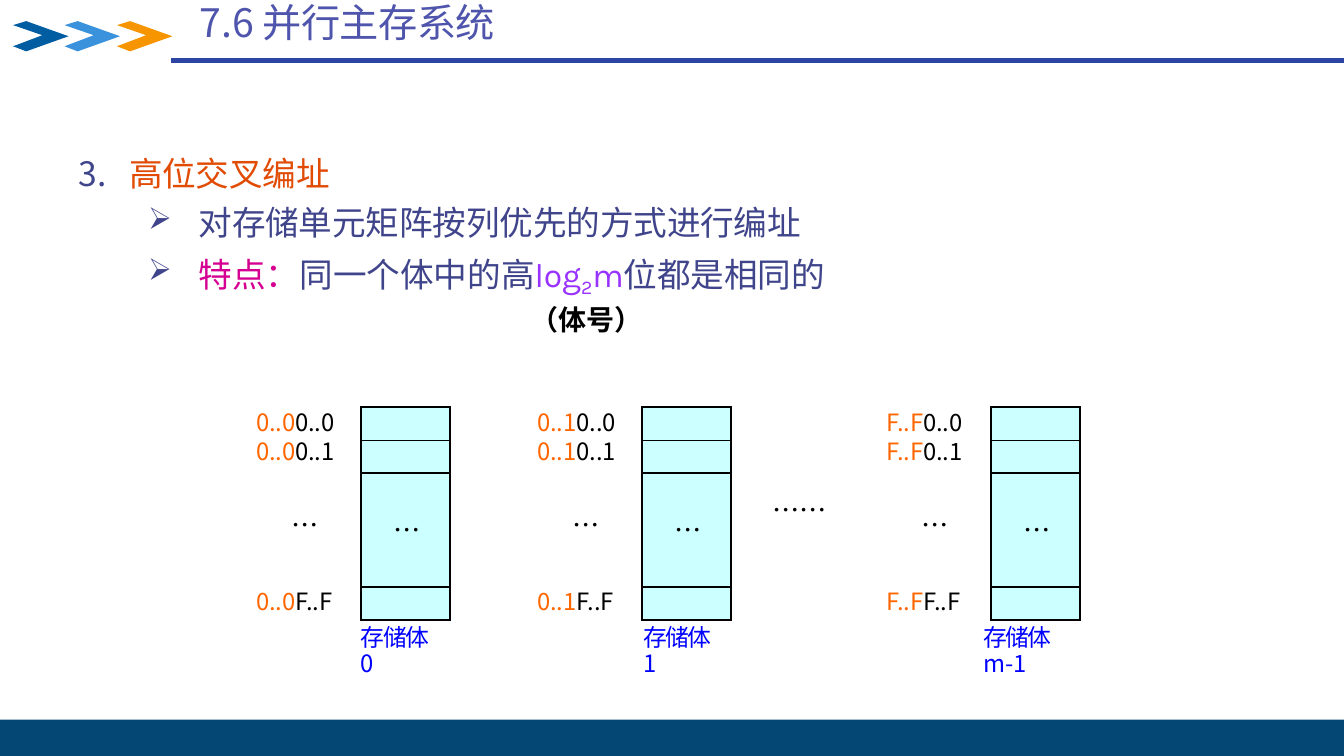
from lxml import etree
from pptx import Presentation
from pptx.dml.color import RGBColor
from pptx.oxml.ns import qn
from pptx.util import Inches, Pt
from pptx.enum.shapes import MSO_CONNECTOR as LINE, MSO_SHAPE as SHAPE

# Colours and fonts
NAVY = RGBColor(0x40, 0x45, 0x8B)
TITLE = RGBColor(0x4F, 0x55, 0xAC)
RULE = RGBColor(0x2C, 0x44, 0xA3)
BAR = RGBColor(0x04, 0x47, 0x75)
RUST = RGBColor(0xE1, 0x4B, 0x04)
PINK = RGBColor(0xD5, 0x00, 0x92)
VIOLET = RGBColor(0x99, 0x33, 0xFF)
ORANGE = RGBColor(0xFF, 0x66, 0x00)
BLUE = RGBColor(0x00, 0x00, 0xFF)
BLACK = RGBColor(0, 0, 0)
CYAN = RGBColor(0xCC, 0xFF, 0xFF)
SANS, LATIN = "Noto Sans CJK SC", "Karla"

# Content: a run is (text, format); a paragraph is (runs, format)
HEAD = [([("7.6", {}), (" 并行主存系统", {"spc": -0.4})], {})]
LOG = {"color": VIOLET, "face": LATIN}
POINT = {"left": 1.23, "hang": 0.5, "mark": "➢", "before": 9}
BODY = [
    ([("高位交叉编址", {"color": RUST})], {"left": 0.54, "hang": 0.5, "start": 3}),
    ([("对存储单元矩阵按列优先的方式进行编址", {})], POINT),
    ([("特点：", {"color": PINK, "spc": 0}), ("同一个体中的高", {"spc": 0}),
      ("log", LOG), ("2", {**LOG, "base": -21}), ("m", LOG),
      ("位都是相同的", {})], POINT),
    ([("（体号）", {"color": BLACK, "size": 20, "bold": True})],
     {"left": 4.52, "before": 8}),
]
# Memory banks: high address, label, left of addresses, left and width of caption
BANKS = [
    ("0..0", "0", 2.53, 3.57, 0.92),
    ("0..1", "1", 5.32, 6.37, 0.92),
    ("F..F", "m-1", 8.78, 9.74, 1.16),
]
ROWS = [0.33, 0.32, 1.13, 0.33]
CHEVRON = [(0.13, 0), (0, 0.04), (0.29, 0.14), (0, 0.25), (0.13, 0.3), (0.55, 0.15)]
MARKS = [(0.13, RGBColor(0x00, 0x5D, 0xA1)), (0.64, RGBColor(0x39, 0x92, 0xDB)),
         (1.16, RGBColor(0xF7, 0x95, 0x00))]

deck = Presentation()
deck.slide_width, deck.slide_height = Inches(13.33), Inches(7.5)
slide = deck.slides.add_slide(deck.slide_layouts[6])
shapes = slide.shapes


def add(node, tag, **attrs):
    return etree.SubElement(node, qn(tag), attrs)


def put_run(para, text, size, color, face=SANS, spc=0, base=0, bold=False):
    run = para.add_run()
    run.text = text
    font = run.font
    font.size, font.name, font.bold = Pt(size), face, bold
    font.color.rgb = color
    props = font._element
    props.set("spc", str(round(spc * 100)))
    if base:
        props.set("baseline", str(base * 1000))
    add(props, "a:ea", typeface=SANS)


def put_mark(props, mark, start):
    tint = add(props, "a:buClr")
    add(tint, "a:srgbClr", val=str(NAVY))
    if mark:
        add(props, "a:buSzPct", val="90000")
        add(props, "a:buChar", char=mark)
    else:
        add(props, "a:buAutoNum", type="arabicPeriod", startAt=str(start))


def write(frame, paras, size=17, color=BLACK, spc=0, space=0.9):
    for i, (runs, form) in enumerate(paras):
        para = frame.add_paragraph() if i else frame.paragraphs[0]
        para.line_spacing = space
        para.space_before = Pt(form.get("before", 0))
        props = para._p.get_or_add_pPr()
        props.set("marL", str(Inches(form.get("left", 0.01))))
        props.set("indent", str(-Inches(form.get("hang", 0))))
        if "mark" in form or "start" in form:
            put_mark(props, form.get("mark"), form.get("start"))
        for text, look in runs:
            put_run(para, text, **{"size": size, "color": color, "spc": spc, **look})


def put_text(paras, left, top, width, height, inset=0.02, right=0, **look):
    frame = shapes.add_textbox(*map(Inches, (left, top, width, height))).text_frame
    frame.word_wrap = True
    frame.margin_left = frame.margin_bottom = 0
    frame.margin_top, frame.margin_right = Inches(inset), Inches(right)
    write(frame, paras, **look)


def paint(shape, color):
    shape.shadow.inherit = False
    shape.fill.solid()
    shape.fill.fore_color.rgb = color
    shape.line.fill.background()


def put_table(left, top):
    table = shapes.add_table(len(ROWS), 1, Inches(left), Inches(top),
                             Inches(0.88), Inches(sum(ROWS))).table
    table.first_row = table.horz_banding = False
    table.columns[0].width = Inches(0.88)
    for i, height in enumerate(ROWS):
        table.rows[i].height = Inches(height)
        cell = table.cell(i, 0)
        cell.margin_left = cell.margin_right = 0
        cell.margin_top = cell.margin_bottom = 0
        props = cell._tc.get_or_add_tcPr()
        for side in ("L", "R", "T", "B"):
            edge = add(props, "a:ln" + side, w=str(Pt(1.5)))
            add(add(edge, "a:solidFill"), "a:srgbClr", val=str(BLACK))
        cell.fill.solid()
        cell.fill.fore_color.rgb = CYAN
    gap = table.cell(2, 0)
    gap.margin_top = Inches(0.36)
    write(gap.text_frame, [([("…", {})], {"left": 0.32})], size=19.5, space=1)


# Header rule, chevrons and footer bar
rule = shapes.add_connector(LINE.STRAIGHT, Inches(1.7), Inches(0.6),
                            Inches(13.33), Inches(0.6))
rule.line.color.rgb, rule.line.width = RULE, Pt(3)
add(rule._element.spPr, "a:effectLst")
for left, color in MARKS:
    dots = [(Inches(left + x), Inches(0.21 + y)) for x, y in CHEVRON]
    form = shapes.build_freeform(*dots[0])
    form.add_line_segments(dots[1:], close=True)
    paint(form.convert_to_shape(), color)
paint(shapes.add_shape(SHAPE.RECTANGLE, 0, Inches(7.14),
                       Inches(13.33), Inches(0.36)), BAR)

# Title and body
put_text(HEAD, 1.97, 0.03, 3.14, 0.49, inset=0.01, size=28, color=TITLE)
put_text(BODY, 0.74, 1.39, 7.47, 2.18, inset=0.17, size=24, color=NAVY, spc=-0.1)

# Memory banks
for high, label, left, foot, width in BANKS:
    first, second, last = [
        [(high, {"color": ORANGE}), (low, {})] for low in ("0..0", "0..1", "F..F")]
    put_text([(first, {}), (second, {"before": 2})], left, 4.02, 0.98, 0.68,
             inset=0.06, spc=-0.1)
    put_text([(last, {})], left, 5.83, 0.98, 0.31, spc=-0.1)
    put_text([([("…", {})], {})], left + 0.35, 5.06, 0.3, 0.36, size=19.5)
    put_table(left + 1.05, 4.04)
    put_text([([("存储体 ", {"spc": -1.1}), (label, {})], {})],
             foot, 6.19, width, 0.31, right=0.2, color=BLUE)
put_text([([("……", {})], {})], 7.65, 4.91, 0.58, 0.36, size=19.5, spc=-0.2)

deck.save("out.pptx")
